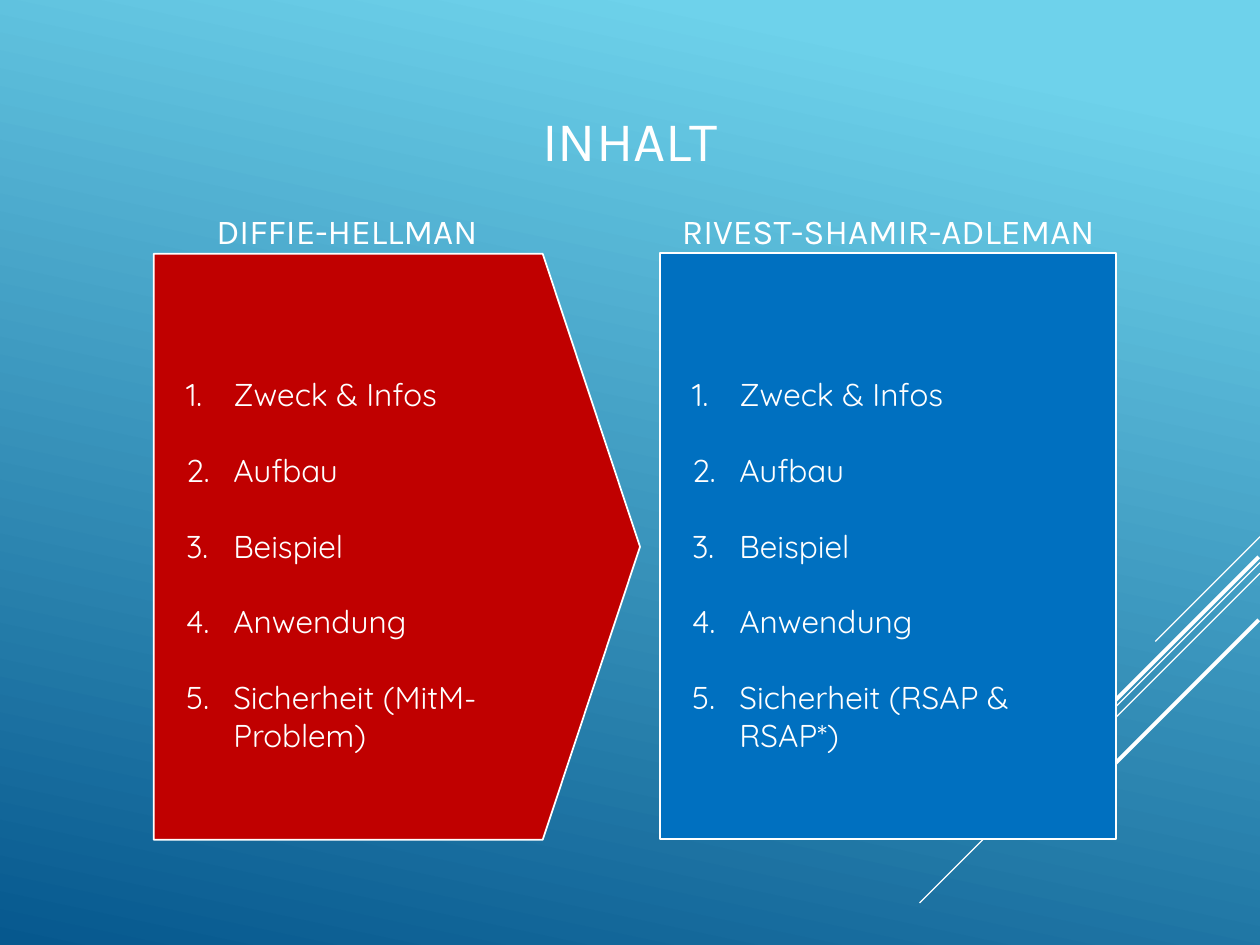
from dataclasses import dataclass

from lxml.etree import SubElement
from pptx import Presentation
from pptx.dml.color import RGBColor
from pptx.enum.shapes import MSO_CONNECTOR, MSO_SHAPE
from pptx.enum.text import MSO_ANCHOR, PP_ALIGN
from pptx.oxml.ns import qn
from pptx.util import Pt


@dataclass(frozen=True)
class Theme:
    sky: RGBColor = RGBColor(0x6E, 0xD2, 0xEB)
    deep: RGBColor = RGBColor(0x06, 0x58, 0x8E)
    red: RGBColor = RGBColor(0xC0, 0x00, 0x00)
    blue: RGBColor = RGBColor(0x00, 0x70, 0xC0)
    white: RGBColor = RGBColor(0xFF, 0xFF, 0xFF)
    heading_font: str = "Karla"
    body_font: str = "Quicksand"
    title: int = 32
    heading: int = 20
    body: int = 18


THEME = Theme()
COMMON_TOPICS = ["Zweck & Infos", "Aufbau", "Beispiel", "Anwendung"]
# Right end x, y, horizontal run and width; every stripe falls at 45 degrees.
STRIPES = [
    (720, 306.7, 59.8, 0.75),
    (720, 321.5, 194.5, 0.75),
    (720, 327.6, 123.8, 0.75),
    (719.3, 318.2, 113, 2.25),
    (719.3, 354.2, 82, 2.25),
]


def set_background(s):
    fill = s.background.fill
    fill.gradient()
    fill.gradient_angle = 360 - 102
    stops = [(0.1, THEME.sky), (1, THEME.deep)]
    for stop, (position, color) in zip(fill.gradient_stops, stops):
        stop.position = position
        stop.color.rgb = color


def add_stripe(s, x, y, run, width):
    line = s.shapes.add_connector(
        MSO_CONNECTOR.STRAIGHT, Pt(x), Pt(y), Pt(x - run), Pt(y + run))
    line.line.color.rgb = THEME.white
    line.line.width = Pt(width)
    SubElement(line._element.spPr, qn("a:effectLst"))


def add_panel(s, kind, box, color, rotation=0):
    sp = s.shapes.add_shape(kind, *map(Pt, box))
    sp.shadow.inherit = False
    sp.rotation = rotation
    sp.fill.solid()
    sp.fill.fore_color.rgb = color
    sp.line.color.rgb = THEME.white
    sp.line.width = Pt(1)


def number_paragraph(p, indent=27):
    pPr = p._p.get_or_add_pPr()
    pPr.set("marL", str(Pt(indent)))
    pPr.set("indent", str(-Pt(indent)))
    SubElement(pPr, qn("a:buFont"), typeface="+mj-lt")
    SubElement(pPr, qn("a:buAutoNum"), type="arabicPeriod")


def add_text(s, box, *lines, font=THEME.heading_font, size=THEME.heading,
             align=PP_ALIGN.CENTER, anchor=MSO_ANCHOR.TOP, numbered=False, gap=0):
    """Add a text box with one paragraph per line, gap points apart."""
    tf = s.shapes.add_textbox(*map(Pt, box)).text_frame
    tf.word_wrap = True
    tf.vertical_anchor = anchor
    for i, text in enumerate(lines):
        p = tf.paragraphs[0] if i == 0 else tf.add_paragraph()
        p.alignment = align
        if i:
            p.space_before = Pt(gap)
        if numbered:
            number_paragraph(p)
        r = p.add_run()
        r.text = text
        r.font.name = font
        r.font.size = Pt(size)
        r.font.color.rgb = THEME.white


def add_topics(s, left, last_topic):
    add_text(s, (left, 211, 204, 225.4), *COMMON_TOPICS, last_topic,
             font=THEME.body_font, size=THEME.body, align=PP_ALIGN.LEFT,
             numbered=True, gap=21.6)


def main():
    prs = Presentation()
    prs.slide_width, prs.slide_height = Pt(720), Pt(540)
    s = prs.slides.add_slide(prs.slide_layouts[6])
    set_background(s)
    for stripe in STRIPES:
        add_stripe(s, *stripe)

    add_text(s, (0, 19.4, 720, 120.2), "INHALT",
             size=THEME.title, anchor=MSO_ANCHOR.MIDDLE)

    add_panel(s, MSO_SHAPE.FLOWCHART_OFFPAGE_CONNECTOR,
              (59.4, 173.5, 334.8, 277.9), THEME.red, rotation=270)
    add_panel(s, MSO_SHAPE.FLOWCHART_PROCESS,
              (377.3, 144.7, 260.6, 334.8), THEME.blue)

    add_text(s, (87.8, 115.9, 221, 31.7), "DIFFIE-HELLMAN")
    add_text(s, (377.3, 115.9, 260.6, 31.7), "RIVEST-SHAMIR-ADLEMAN")

    add_topics(s, 99.2, "Sicherheit (MitM-Problem)")
    add_topics(s, 388.4, "Sicherheit (RSAP & RSAP*)")
    prs.save("out.pptx")


if __name__ == "__main__":
    main()
